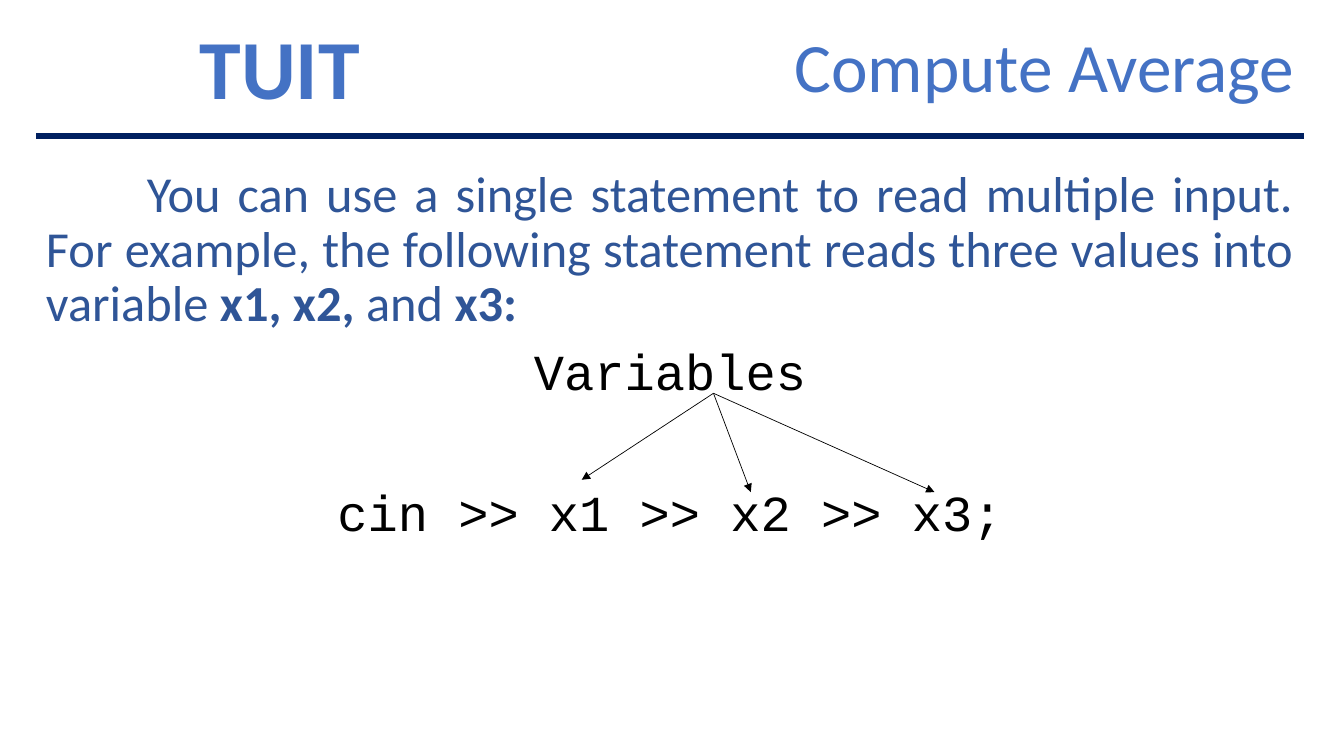
from dataclasses import dataclass

import pptx
import pptx.dml.color
import pptx.enum.shapes
import pptx.enum.text
import pptx.oxml.ns
import pptx.presentation
import pptx.shapes.connector
import pptx.slide
import pptx.util
from lxml import etree

Cm = pptx.util.Cm
Align = pptx.enum.text.PP_ALIGN
Anchor = pptx.enum.text.MSO_ANCHOR


@dataclass(frozen=True)
class Theme:
    heading: str = "4472C4"
    rule: str = "002060"
    body: str = "2F5597"
    code: str = "000000"
    sans: str = "Calibri"
    mono: str = "Courier New"
    brand_size: float = 60
    title_size: float = 49.5
    body_size: float = 36
    rule_width: float = 4.5
    arrow_width: float = 0.5


THEME = Theme()


@dataclass(frozen=True)
class Span:
    text: str
    size: float = THEME.body_size
    color: str = THEME.body
    font: str = THEME.sans
    bold: bool = False


@dataclass(frozen=True)
class Para:
    spans: tuple[Span, ...]
    align: Align
    line_spacing: float = 0.9
    space_before: float = 0
    indent: float = 0


@dataclass(frozen=True)
class Box:
    left: float
    top: float
    width: float
    height: float
    paras: tuple[Para, ...]
    anchor: Anchor = Anchor.TOP


@dataclass(frozen=True)
class Line:
    start: tuple[float, float]
    end: tuple[float, float]
    color: str
    width: float
    arrow: bool = False


def code(text: str, space_before: float) -> Para:
    """Describe a centred line of code."""
    span = Span(text, color=THEME.code, font=THEME.mono)
    return Para((span,), Align.CENTER, space_before=space_before)


BRAND = Para((Span("TUIT", THEME.brand_size, THEME.heading, bold=True),), Align.JUSTIFY, 0.85)
TITLE = Para((Span("Compute Average", THEME.title_size, THEME.heading),), Align.RIGHT, 0.7)
EXPLANATION = Para(
    (
        Span(
            "You can use a single statement to read multiple input. For example, "
            "the following statement reads three values into variable "
        ),
        Span("x1, x2, ", bold=True),
        Span("and "),
        Span("x3:", bold=True),
    ),
    Align.JUSTIFY,
    indent=2.54,
)
BOXES = (
    Box(4.78, 0.66, 4.9, 2.06, (BRAND,)),
    Box(18.92, 0.84, 13.95, 1.9, (TITLE,), Anchor.BOTTOM),
    Box(
        0.91, 4.14, 31.95, 14.3,
        (EXPLANATION, code("Variables", 10), code("cin >> x1 >> x2 >> x3;", 62)),
    ),
)
ARROW_START = (17.98, 9.91)
ARROW_ENDS = ((14.66, 12.09), (18.92, 12.4), (23.55, 12.4))
LINES = (
    Line((0.91, 3.43), (32.87, 3.43), THEME.rule, THEME.rule_width),
    *(Line(ARROW_START, end, THEME.code, THEME.arrow_width, True) for end in ARROW_ENDS),
)


def add_box(page: pptx.slide.Slide, box: Box) -> None:
    """Add a text box with its paragraphs."""
    shape = page.shapes.add_textbox(Cm(box.left), Cm(box.top), Cm(box.width), Cm(box.height))
    frame = shape.text_frame
    frame.word_wrap = True
    frame.vertical_anchor = box.anchor
    for index, para in enumerate(box.paras):
        paragraph = frame.add_paragraph() if index else frame.paragraphs[0]
        paragraph.alignment = para.align
        paragraph.line_spacing = para.line_spacing
        paragraph.space_before = pptx.util.Pt(para.space_before)
        if para.indent:
            properties = paragraph._p.get_or_add_pPr()
            properties.set("marL", "0")
            properties.set("indent", str(Cm(para.indent)))
        for span in para.spans:
            run = paragraph.add_run()
            run.text = span.text
            run.font.name = span.font
            run.font.size = pptx.util.Pt(span.size)
            run.font.bold = span.bold
            run.font.color.rgb = pptx.dml.color.RGBColor.from_string(span.color)


def add_line(page: pptx.slide.Slide, line: Line) -> pptx.shapes.connector.Connector:
    """Add a straight line, with an arrowhead at its end if asked."""
    connector = page.shapes.add_connector(
        pptx.enum.shapes.MSO_CONNECTOR.STRAIGHT, *(Cm(value) for value in line.start + line.end)
    )
    connector.line.color.rgb = pptx.dml.color.RGBColor.from_string(line.color)
    connector.line.width = pptx.util.Pt(line.width)
    if line.arrow:
        outline = connector.line._get_or_add_ln()
        etree.SubElement(outline, pptx.oxml.ns.qn("a:tailEnd"), type="triangle")
    etree.SubElement(connector._element.spPr, pptx.oxml.ns.qn("a:effectLst"))
    return connector


def build_deck() -> pptx.presentation.Presentation:
    """Build the one-page deck."""
    deck = pptx.Presentation()
    deck.slide_width, deck.slide_height = Cm(33.87), Cm(19.05)
    page = deck.slides.add_slide(deck.slide_layouts[6])
    for box in BOXES:
        add_box(page, box)
    for line in LINES:
        add_line(page, line)
    return deck


if __name__ == "__main__":
    build_deck().save("out.pptx")
